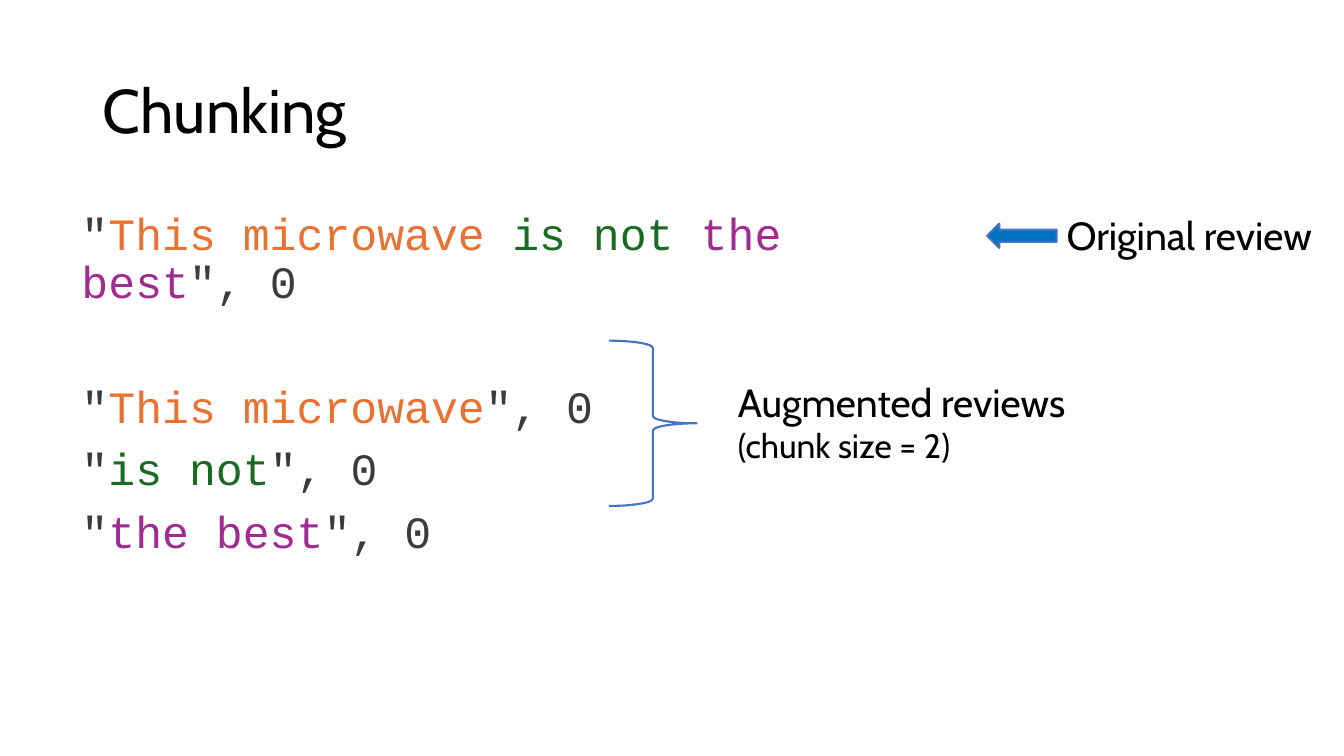
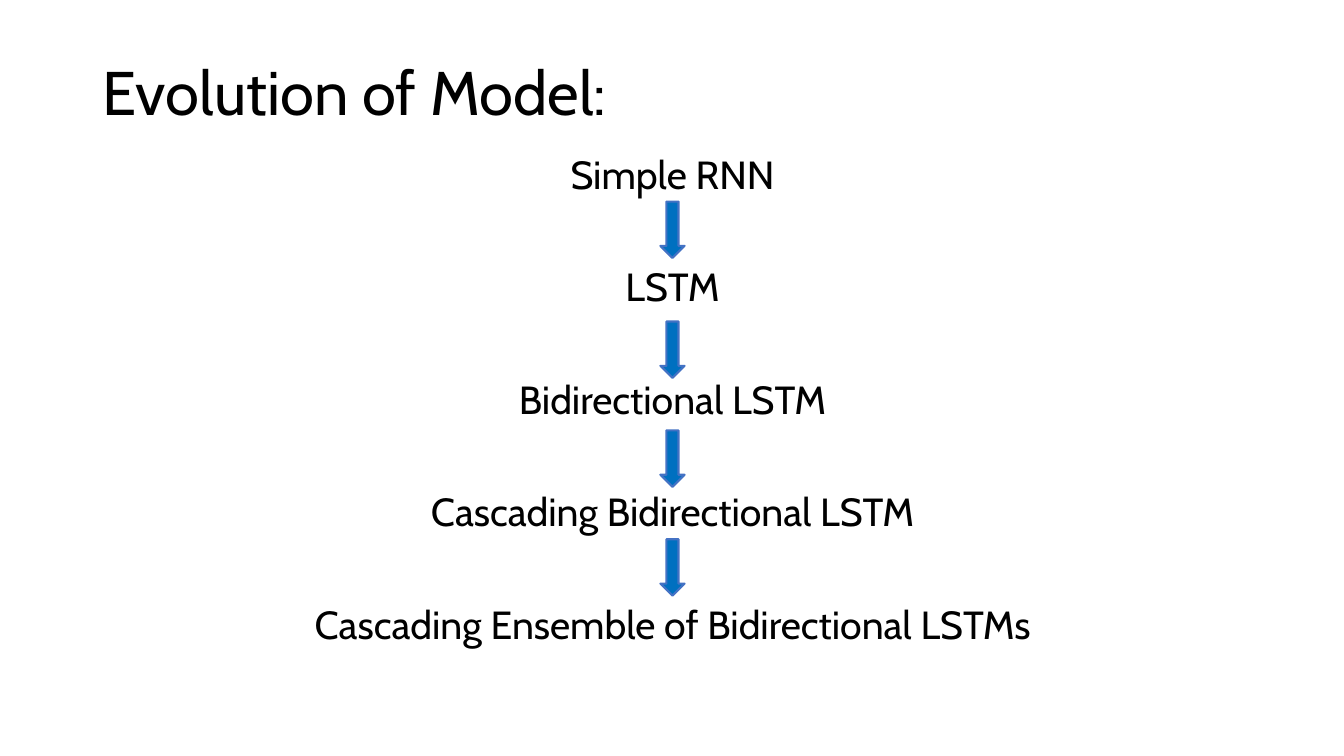
import pptx
import pptx.util
import pptx.dml.color
import pptx.enum.shapes
import pptx.enum.text

Inches = pptx.util.Inches
Pt = pptx.util.Pt
Shape = pptx.enum.shapes.MSO_SHAPE
Align = pptx.enum.text.PP_ALIGN
Anchor = pptx.enum.text.MSO_ANCHOR

# Shared style
SANS, MONO = "Cabin", "Courier New"
BLACK, GREY, BLUE, EDGE = "000000", "3B3B3B", "0070C0", "4472C4"
ORANGE, GREEN, PURPLE = "E97132", "196B24", "A02B93"
LEFT, WIDE = 0.92, 11.5
MID = LEFT + WIDE / 2


def color(code):
    return pptx.dml.color.RGBColor.from_string(code)


def text(slide, box, paras, size=28, font=SANS, align=Align.LEFT,
         anchor=Anchor.TOP, lead=None, gaps=()):
    """Each paragraph is a list of runs: (words, colour[, size])."""
    frame = slide.shapes.add_textbox(*map(Inches, box)).text_frame
    frame.word_wrap = True
    frame.vertical_anchor = anchor
    for i, runs in enumerate(paras):
        para = frame.add_paragraph() if i else frame.paragraphs[0]
        para.alignment = align
        if lead:
            para.line_spacing = lead
        if gaps:
            para.space_before = Pt(gaps[i])
        for words, tint, *own in runs:
            run = para.add_run()
            run.text = words
            run.font.name = font
            run.font.size = Pt(own[0] if own else size)
            run.font.color.rgb = color(tint)


def title(slide, words, high):
    text(slide, (LEFT, 0.4, WIDE, high), [[(words, BLACK)]],
         size=44, anchor=Anchor.MIDDLE, lead=0.9)


def shape(slide, kind, box, fill=None):
    item = slide.shapes.add_shape(kind, *map(Inches, box))
    item.shadow.inherit = False
    if fill:
        item.fill.solid()
        item.fill.fore_color.rgb = color(fill)
    else:
        item.fill.background()
    item.line.color.rgb = color(EDGE)
    item.line.width = Pt(1.5)


def quote(*parts):
    """One review in quotes, followed by its label."""
    return [('"', GREY), *parts, ('", 0', GREY)]


def reviews(slide, box):
    chunks = [("This microwave", ORANGE), ("is not", GREEN),
              ("the best", PURPLE)]
    whole = [(words + " ", tint) for words, tint in chunks[:-1]] + chunks[-1:]
    text(slide, box, [quote(*whole)] + [quote(part) for part in chunks],
         size=32, font=MONO, lead=0.9, gaps=(10, 54.5, 10, 10))


def notes(slide, x, y):
    """Labels that mark the first review and the chunks below it."""
    shape(slide, Shape.LEFT_ARROW, (x + 3.75, y + 0.17, 0.69, 0.24), BLUE)
    text(slide, (x + 4.44, y, 2.78, 0.57), [[("Original review", BLACK)]])
    shape(slide, Shape.RIGHT_BRACE, (x, y + 1.33, 0.87, 1.64))
    text(slide, (x + 1.18, y + 1.65, 3.78, 0.98),
         [[("Augmented reviews ", BLACK), ("(chunk size = 2)", BLACK, 24)]])


def chunking(slide):
    title(slide, "Chunking", 1.45)
    reviews(slide, (0.71, 2.05, 8.91, 4.71))
    notes(slide, 6.04, 2.05)


def models(slide, box):
    """Model names in a column, with an arrow between each pair."""
    names = ["Simple RNN", "LSTM", "Bidirectional LSTM",
             "Cascading Bidirectional LSTM",
             "Cascading Ensemble of Bidirectional LSTMs"]
    text(slide, box, [[(name, BLACK)] for name in names],
         align=Align.CENTER, lead=0.9, gaps=[10] + [50.2] * 4)
    for drop in (0.51, 1.7, 2.78, 3.86):
        shape(slide, Shape.DOWN_ARROW,
              (MID - 0.12, box[1] + drop, 0.24, 0.56), BLUE)


def growth(slide):
    title(slide, "Evolution of Model:", 1.09)
    models(slide, (LEFT, 1.49, WIDE, 5.36))


def main():
    deck = pptx.Presentation()
    deck.slide_width, deck.slide_height = Inches(13.33), Inches(7.5)
    for build in (chunking, growth):
        build(deck.slides.add_slide(deck.slide_layouts[6]))
    deck.save("out.pptx")


if __name__ == "__main__":
    main()
